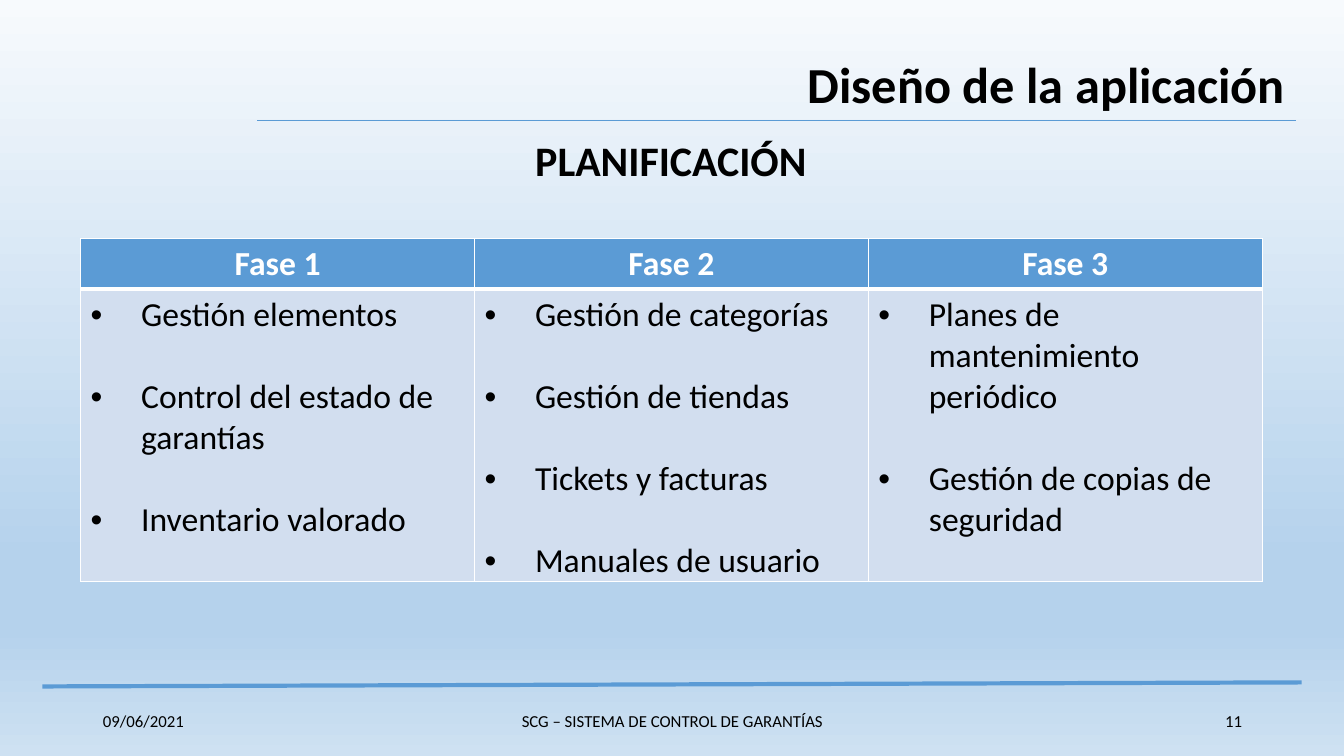
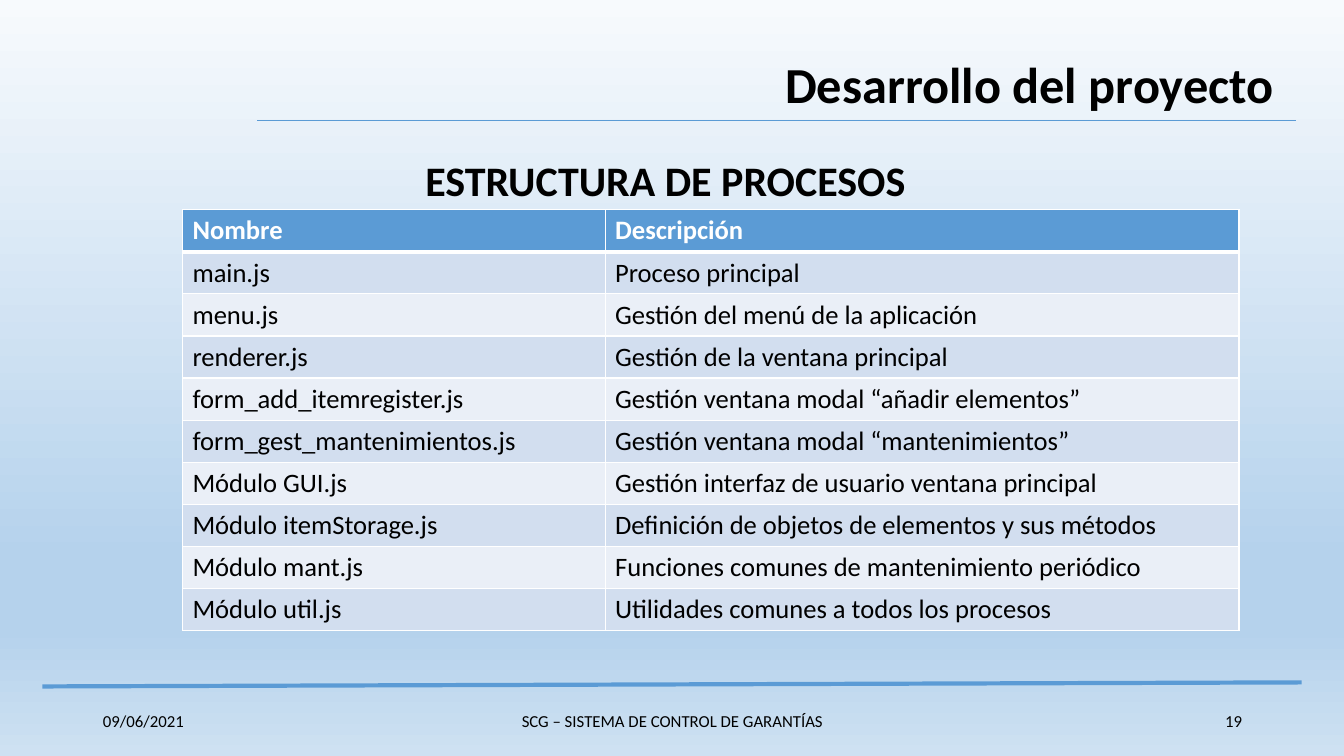
from typing import NamedTuple
from copy import deepcopy

from lxml import etree
from pptx import Presentation
from pptx.dml.color import RGBColor
from pptx.enum.shapes import MSO_CONNECTOR, PP_PLACEHOLDER
from pptx.enum.text import MSO_ANCHOR, MSO_AUTO_SIZE, PP_ALIGN
from pptx.oxml.ns import qn
from pptx.util import Inches, Pt

STRAIGHT = MSO_CONNECTOR.STRAIGHT
DATE, FOOTER, NUMBER = (PP_PLACEHOLDER.DATE, PP_PLACEHOLDER.FOOTER,
                        PP_PLACEHOLDER.SLIDE_NUMBER)
TOP, MIDDLE = MSO_ANCHOR.TOP, MSO_ANCHOR.MIDDLE
NO_AUTOFIT = MSO_AUTO_SIZE.NONE
LEFT, CENTER, RIGHT = PP_ALIGN.LEFT, PP_ALIGN.CENTER, PP_ALIGN.RIGHT

FONT = "Calibri"
BLACK = RGBColor(0x00, 0x00, 0x00)
WHITE = RGBColor(0xFF, 0xFF, 0xFF)
BLUE = RGBColor(0x5B, 0x9B, 0xD5)
BAND_DARK = RGBColor(0xD2, 0xDE, 0xEF)
BAND_LIGHT = RGBColor(0xEA, 0xEF, 0xF7)
SKY_STOPS = [
    (0, RGBColor(0xF7, 0xFA, 0xFD)),
    (74, RGBColor(0xB5, 0xD2, 0xEC)),
    (83, RGBColor(0xB5, 0xD2, 0xEC)),
    (100, RGBColor(0xCE, 0xE1, 0xF2)),
]


class Box(NamedTuple):
    left: float
    top: float
    width: float
    height: float

    def columns(self, start, span, count):
        step = self.width / count
        return Box(self.left + start * step, self.top, span * step, self.height)

    def emu(self):
        return [Inches(length) for length in self]


SLIDE = Box(0, 0, 13.33, 7.5)
HEADER = Box(2.55, 0.48, 10.3, 0.71)
FOOTER_BAND = Box(0.92, 6.95, 11.5, 0.4)
FOOTER_RULE = Box(0.42, 6.77, 12.49, 0.04)
DATE_TEXT = "09/06/2021"
PROJECT_TEXT = "SCG – SISTEMA DE CONTROL DE GARANTÍAS"

PHASES = {
    "Fase 1": ["Gestión elementos", "Control del estado de garantías",
               "Inventario valorado"],
    "Fase 2": ["Gestión de categorías", "Gestión de tiendas",
               "Tickets y facturas", "Manuales de usuario"],
    "Fase 3": ["Planes de mantenimiento periódico",
               "Gestión de copias de seguridad"],
}
PROCESSES = [
    ("Nombre", "Descripción"),
    ("main.js", "Proceso principal"),
    ("menu.js", "Gestión del menú de la aplicación"),
    ("renderer.js", "Gestión de la ventana principal"),
    ("form_add_itemregister.js", "Gestión ventana modal “añadir elementos”"),
    ("form_gest_mantenimientos.js", "Gestión ventana modal “mantenimientos”"),
    ("Módulo GUI.js", "Gestión interfaz de usuario ventana principal"),
    ("Módulo itemStorage.js", "Definición de objetos de elementos y sus métodos"),
    ("Módulo mant.js", "Funciones comunes de mantenimiento periódico"),
    ("Módulo util.js", "Utilidades comunes a todos los procesos"),
]


def format_text(frame, size, color=BLACK, bold=False, align=LEFT):
    for paragraph in frame.paragraphs:
        paragraph.alignment = align
        for run in paragraph.runs:
            run.font.name = FONT
            run.font.size = Pt(size)
            run.font.bold = bold
            run.font.color.rgb = color


def place(shape, box):
    shape.left, shape.top, shape.width, shape.height = box.emu()


def add_rule(slide, start, end, weight):
    rule = slide.shapes.add_connector(
        STRAIGHT, *[Inches(length) for length in (*start, *end)])
    rule.line.color.rgb = BLUE
    rule.line.width = Pt(weight)
    etree.SubElement(rule.element.spPr, qn("a:effectLst"))
    return rule


def paint_background(master):
    fill = master.background.fill
    fill.gradient()
    fill.gradient_angle = 270
    stops = master.element.find(".//" + qn("a:gsLst"))
    for stop in list(stops):
        stops.remove(stop)
    for position, color in SKY_STOPS:
        stop = etree.SubElement(stops, qn("a:gs"), pos=str(position * 1000))
        etree.SubElement(stop, qn("a:srgbClr"), val=str(color))


def move_rule_to_master(slide, master, box):
    rule = add_rule(slide, (box.left, box.top + box.height),
                    (box.left + box.width, box.top), 3)
    rule.element.nvCxnSpPr.cNvPr.set("id", "20")
    master.element.cSld.spTree.append(rule.element)


def add_header(slide, box, heading):
    title = slide.shapes.title
    place(title, box.columns(28, 72, 100))
    frame = title.text_frame
    frame.text = heading
    frame.auto_size = NO_AUTOFIT
    frame.vertical_anchor = TOP
    format_text(frame, 36, bold=True, align=RIGHT)
    bottom = box.top + box.height
    add_rule(slide, (box.left, bottom), (box.left + box.width, bottom), 0.5)


def add_footer(slide, box, number):
    parts = {
        DATE: (DATE_TEXT, LEFT, box.columns(0, 6, 23)),
        FOOTER: (PROJECT_TEXT, CENTER, box.columns(7, 9, 23)),
        NUMBER: (str(number), RIGHT, box.columns(17, 6, 23)),
    }
    for source in slide.slide_layout.placeholders:
        if source.placeholder_format.type in parts:
            slide.shapes.element.append(deepcopy(source.element))
    for footer in slide.placeholders:
        part = parts.get(footer.placeholder_format.type)
        if part:
            text, align, area = part
            place(footer, area)
            footer.text_frame.text = text
            footer.text_frame.vertical_anchor = MIDDLE
            format_text(footer.text_frame, 12, align=align)


def add_subtitle(slide, box, text):
    frame = slide.shapes.add_textbox(*box.emu()).text_frame
    frame.word_wrap = False
    frame.text = text
    format_text(frame, 30, bold=True)


def set_borders(cell, row):
    properties = cell._tc.get_or_add_tcPr()
    weights = {
        "a:lnL": 1,
        "a:lnR": 1,
        "a:lnT": 3 if row == 1 else 1,
        "a:lnB": 3 if row == 0 else 1,
    }
    for side, weight in weights.items():
        line = etree.SubElement(properties, qn(side), w=str(Pt(weight)))
        fill = etree.SubElement(line, qn("a:solidFill"))
        etree.SubElement(fill, qn("a:srgbClr"), val=str(WHITE))


def add_grid(slide, box, rows, widths, heights, size, header_align):
    table = slide.shapes.add_table(len(rows), len(widths), *box.emu()).table
    for column, width in zip(table.columns, widths):
        column.width = Inches(width)
    for index, (height, texts) in enumerate(zip(heights, rows)):
        table.rows[index].height = Inches(height)
        is_header = index == 0
        band = BLUE if is_header else BAND_DARK if index % 2 else BAND_LIGHT
        for column, text in enumerate(texts):
            cell = table.cell(index, column)
            set_borders(cell, index)
            cell.fill.solid()
            cell.fill.fore_color.rgb = band
            cell.text_frame.text = text
            format_text(cell.text_frame, size, WHITE if is_header else BLACK,
                        is_header, header_align if is_header else LEFT)
    return table


def bullet_list(cell, gap):
    cell.margin_bottom = 0
    for index, paragraph in enumerate(cell.text_frame.paragraphs):
        properties = paragraph._p.get_or_add_pPr()
        properties.set("marL", str(Inches(0.5)))
        properties.set("indent", str(-Inches(0.5)))
        etree.SubElement(properties, qn("a:buFont"), typeface="Arial")
        etree.SubElement(properties, qn("a:buChar"), char="•")
        if index:
            paragraph.space_before = Pt(gap)


def add_phases(slide, box):
    rows = [list(PHASES), ["\n".join(tasks) for tasks in PHASES.values()]]
    widths = [box.width / len(PHASES)] * len(PHASES)
    table = add_grid(slide, box, rows, widths, [0.5, box.height - 0.5], 24, CENTER)
    for column in range(len(PHASES)):
        bullet_list(table.cell(1, column), 29.3)


def add_processes(slide, box):
    widths = [box.width * 0.4, box.width * 0.6]
    heights = [box.height / len(PROCESSES)] * len(PROCESSES)
    add_grid(slide, box, PROCESSES, widths, heights, 19, LEFT)


def add_page(deck, heading, number):
    slide = deck.slides.add_slide(deck.slide_layouts[5])
    add_footer(slide, FOOTER_BAND, number)
    add_header(slide, HEADER, heading)
    return slide


def main():
    deck = Presentation()
    deck.slide_width, deck.slide_height = SLIDE.emu()[2:]
    paint_background(deck.slide_master)

    planning = add_page(deck, "Diseño de la aplicación", 11)
    move_rule_to_master(planning, deck.slide_master, FOOTER_RULE)
    add_subtitle(planning, Box(5.21, 1.29, 2.92, 0.61), "PLANIFICACIÓN")
    add_phases(planning, Box(0.8, 2.37, 11.72, 3.4))

    structure = add_page(deck, "Desarrollo del proyecto ", 19)
    add_subtitle(structure, Box(4.12, 1.48, 5.1, 0.61), "ESTRUCTURA DE PROCESOS")
    add_processes(structure, Box(1.81, 2.08, 10.48, 4.18))

    deck.save("out.pptx")


if __name__ == "__main__":
    main()
